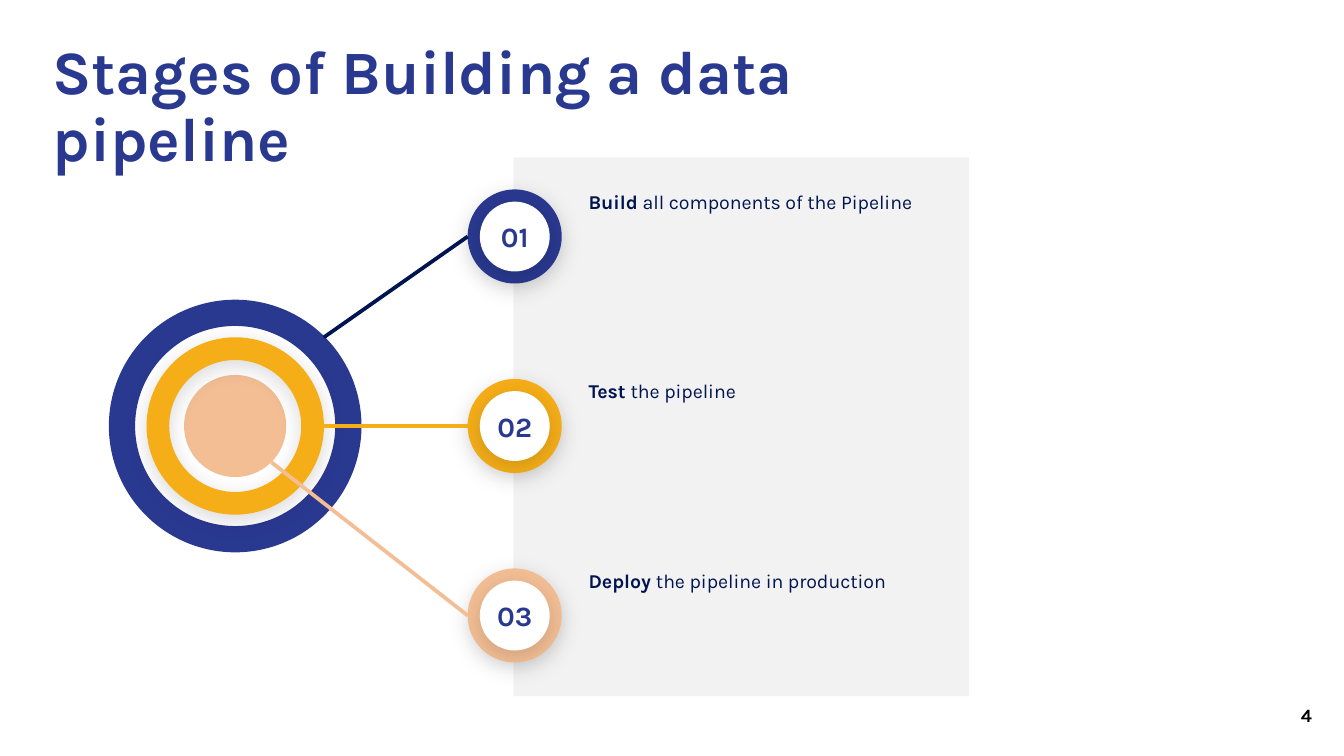
from dataclasses import dataclass
from lxml.etree import SubElement as Sub
from pptx import Presentation
from pptx.dml.color import RGBColor as RGB
from pptx.enum.shapes import MSO_CONNECTOR as Link, MSO_SHAPE as Kind
from pptx.enum.text import MSO_ANCHOR as Anchor, MSO_AUTO_SIZE as Fit, PP_ALIGN as Align
from pptx.oxml.ns import qn
from pptx.util import Inches, Pt


@dataclass(frozen=True)
class Theme:
    font: str = "Karla"
    blue: str = "2A3990"
    gold: str = "F5AE18"
    peach: str = "F3BE94"
    navy: str = "00144F"
    gray: str = "F2F2F2"
    white: str = "FFFFFF"
    black: str = "000000"
    head: float = 33
    badge: float = 15
    body: float = 10.5
    page: float = 10


T = Theme()
WIDE = 10
HIGH = WIDE * 9 / 16
HUB = (1.75, 3.17)      # centre of the target
COL = 3.83              # centre of the badge column
TOP, STEP = 1.76, 1.41  # first badge row and row gap
BADGE, CORE = 0.7, 0.52

# Number, bold word, rest, badge colour, line colour, line start
STAGES = [
    ("01", "Build ", "all components of the Pipeline", T.blue, T.navy, (2.41, 2.51)),
    ("02", "Test ", "the pipeline", T.gold, T.gold, (2.41, 3.17)),
    ("03", "Deploy ", "the pipeline in production", T.peach, T.peach, (2.02, 3.44)),
]


def box(x, y, w, h):
    return [Inches(v) for v in (x, y, w, h)]


def style(font, size, color, bold=None):
    font.name, font.size, font.bold = T.font, Pt(size), bold
    font.color.rgb = RGB.from_string(color)


def inset(frame, x=0, y=0):
    frame.margin_left = frame.margin_right = Inches(x)
    frame.margin_top = frame.margin_bottom = Inches(y)


def shade(shape):
    """Soft shadow straight below the shape."""
    fx = shape._element.spPr.find(qn("a:effectLst"))
    drop = Sub(fx, qn("a:outerShdw"), blurRad=str(Pt(12)), dist=str(Pt(3)),
               dir="5400000", algn="t", rotWithShape="0")
    tint = Sub(drop, qn("a:srgbClr"), val=T.black)
    Sub(tint, qn("a:alpha"), val="15000")


def fill(shape, color):
    shape.shadow.inherit = False
    shape.fill.solid()
    shape.fill.fore_color.rgb = RGB.from_string(color)
    shape.line.fill.background()


def disc(slide, mid, size, color, ring=None, soft=False):
    """Circle, or a donut when a ring share is given."""
    kind = Kind.OVAL if ring is None else Kind.DONUT
    x, y = (v - size / 2 for v in mid)
    shape = slide.shapes.add_shape(kind, *box(x, y, size, size))
    if ring is not None:
        shape.adjustments[0] = ring
    fill(shape, color)
    if soft:
        shade(shape)
    return shape


def label(frame, text, size, color):
    """One centred bold line."""
    frame.vertical_anchor = Anchor.MIDDLE
    para = frame.paragraphs[0]
    para.text, para.alignment = text, Align.CENTER
    style(para.font, size, color, True)


def panel(slide):
    shape = slide.shapes.add_shape(Kind.RECTANGLE, *box(3.82, 1.17, 3.39, 4.01))
    fill(shape, T.gray)
    tint = shape._element.spPr.find(qn("a:solidFill"))[0]
    Sub(tint, qn("a:alpha"), val="93000")


def target(slide):
    disc(slide, HUB, 0.76, T.peach)
    disc(slide, HUB, 1.88, T.blue, ring=0.104)
    disc(slide, HUB, 1.32, T.gold, ring=0.128, soft=True)


def spoke(slide, start, end, color):
    ends = [Inches(v) for v in (*start, *end)]
    line = slide.shapes.add_connector(Link.STRAIGHT, *ends)
    line.line.width = Pt(2)
    line.line.color.rgb = RGB.from_string(color)
    Sub(line._element.spPr, qn("a:effectLst"))


def note(slide, y, lead, rest):
    frame = slide.shapes.add_textbox(*box(4.38, y, 2.61, 0.18)).text_frame
    frame.word_wrap = True
    inset(frame)
    para = frame.paragraphs[0]
    style(para.font, T.body, T.navy)
    for text, bold in ((lead, True), (rest, False)):
        run = para.add_run()
        run.text, run.font.bold = text, bold


def stage(slide, row, num, lead, rest, color, ink, start):
    y = TOP + row * STEP
    disc(slide, (COL, y), BADGE, color, soft=True)
    core = disc(slide, (COL, y), CORE, T.white, soft=True)
    inset(core.text_frame)
    label(core.text_frame, num, T.badge, T.blue)
    spoke(slide, start, (COL - BADGE / 2, y), ink)
    note(slide, y - BADGE / 2, lead, rest)


def title(slide, text):
    head = slide.shapes.title
    head.left, head.top, head.width, head.height = box(0.29, 0.26, 7.41, 0.62)
    frame = head.text_frame
    frame.text = text
    frame.word_wrap, frame.auto_size = True, Fit.NONE
    frame.vertical_anchor = Anchor.TOP
    inset(frame, 0.1, 0.05)
    para = frame.paragraphs[0]
    para.alignment, para.line_spacing = Align.LEFT, 0.9
    style(para.font, T.head, T.blue, True)


def page(slide, num):
    frame = slide.shapes.add_textbox(*box(9.58, 5.17, 0.28, 0.3)).text_frame
    frame.word_wrap = True
    inset(frame, 0.1, 0.1)
    label(frame, num, T.page, T.black)


def main():
    deck = Presentation()
    deck.slide_width, deck.slide_height = Inches(WIDE), Inches(HIGH)
    slide = deck.slides.add_slide(deck.slide_layouts[5])
    # Backdrop and heading
    title(slide, "Stages of Building a data pipeline")
    panel(slide)
    page(slide, "4")
    # Target and its three stages
    target(slide)
    for row, item in enumerate(STAGES):
        stage(slide, row, *item)
    deck.save("out.pptx")


if __name__ == "__main__":
    main()
